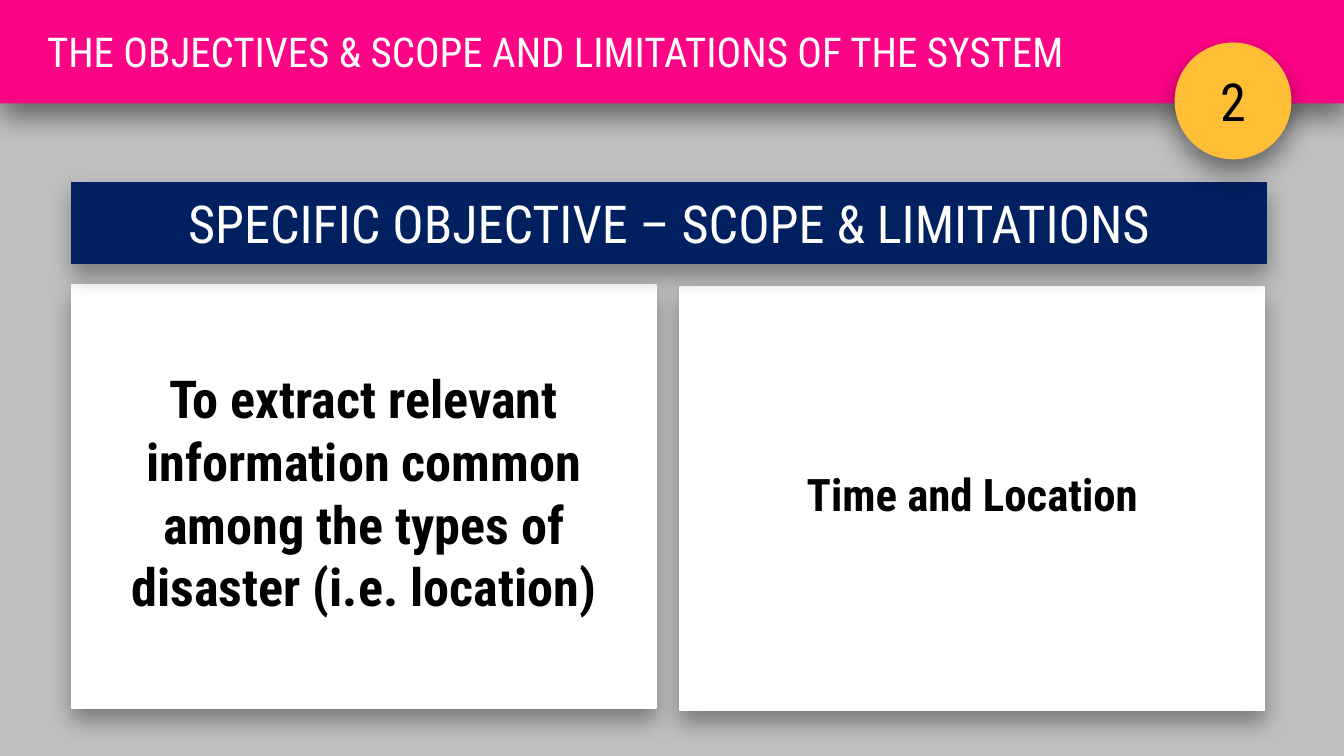
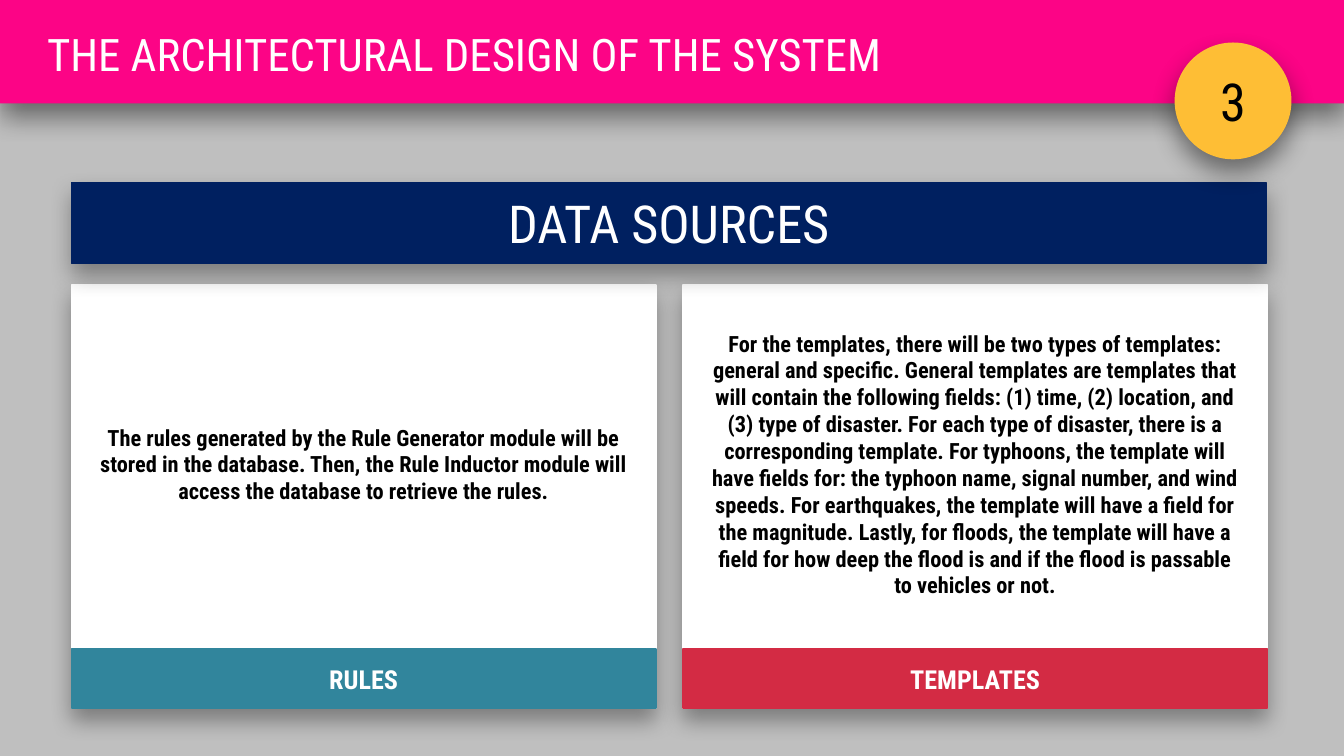
"""Build two project slides with paired cards under a title band and a banner."""
import pptx
import pptx.util
import pptx.dml.color
import pptx.enum.shapes
import pptx.enum.text
import pptx.oxml
from lxml import etree

Pt = pptx.util.Pt
KIND = pptx.enum.shapes.MSO_SHAPE
ALIGN = pptx.enum.text.PP_ALIGN
ANCHOR = pptx.enum.text.MSO_ANCHOR

FONT = "Roboto Condensed"
HEX = {
    "back": "BFBFBF", "band": "FC0486", "disc": "FEBE35", "bar": "002060",
    "card": "FFFFFF", "teal": "31859C", "red": "D32B44",
    "light": "FFFFFF", "dark": "000000",
}

DECK = [
    {
        "title": "THE OBJECTIVES & SCOPE AND LIMITATIONS OF THE SYSTEM",
        "size": 22, "box": (586.8, 33.8), "num": "2",
        "head": "SPECIFIC OBJECTIVE – SCOPE & LIMITATIONS",
        "pad": 4.5, "foot": 12.2,
        "cards": [
            {"at": (38.2, 152.6), "size": 28,
             "text": "To extract relevant information common among the types of "
                     "disaster (i.e. location)"},
            {"at": (364.3, 153.7), "size": 24, "text": "Time and Location"},
        ],
    },
    {
        "title": "THE ARCHITECTURAL DESIGN OF THE SYSTEM",
        "size": 24, "box": (577.4, 36), "num": "3",
        "head": "DATA SOURCES",
        "pad": 6.8, "foot": 42,
        "cards": [
            {"at": (38.2, 152.6), "size": 12, "tag": "RULES", "hue": "teal",
             "text": "The rules generated by the Rule Generator module will be "
                     "stored in the database. Then, the Rule Inductor module will "
                     "access the database to retrieve the rules."},
            {"at": (365.8, 152.6), "size": 12, "tag": "TEMPLATES", "hue": "red",
             "text": "For the templates, there will be two types of templates: "
                     "general and specific. General templates are templates that "
                     "will contain the following fields: (1) time, (2) location, "
                     "and (3) type of disaster. For each type of disaster, there "
                     "is a corresponding template. For typhoons, the template "
                     "will have fields for: the typhoon name, signal number, and "
                     "wind speeds. For earthquakes, the template will have a "
                     "field for the magnitude. Lastly, for floods, the template "
                     "will have a field for how deep the flood is and if the "
                     "flood is passable to vehicles or not."},
        ],
    },
]

WIDE, HIGH = 720, 405
CARD_W, CARD_H, TAG_H, TOP = 313.2, 226.8, 31.7, 7.2
SOFT = (35, 12, 6)
DEEP = (45, 14, 7)


def color(name):
    return pptx.dml.color.RGBColor.from_string(HEX[name])


def write(shape, text, size, hue="dark", bold=False, align=ALIGN.CENTER,
          anchor=ANCHOR.MIDDLE):
    frame = shape.text_frame
    frame.text = text
    frame.word_wrap = True
    frame.auto_size = pptx.enum.text.MSO_AUTO_SIZE.NONE
    frame.vertical_anchor = anchor
    para = frame.paragraphs[0]
    para.alignment = align
    font = para.runs[0].font
    font.name, font.size, font.bold = FONT, Pt(size), bold
    font.color.rgb = color(hue)


def shade(shape, alpha, blur, dist):
    props = shape.fill._xPr
    for old in props.findall(pptx.oxml.ns.qn("a:effectLst")):
        props.remove(old)
    space = pptx.oxml.ns.nsdecls("a")
    props.append(etree.fromstring(
        f'<a:effectLst {space}><a:outerShdw blurRad="{Pt(blur)}" '
        f'dist="{Pt(dist)}" dir="5400000" algn="t" rotWithShape="0">'
        f'<a:srgbClr val="{HEX["dark"]}"><a:alpha val="{alpha * 1000}"/>'
        '</a:srgbClr></a:outerShdw></a:effectLst>',
        pptx.oxml.oxml_parser))


def block(slide, spot, hue, kind=KIND.RECTANGLE, edge=True, shadow=None):
    shape = slide.shapes.add_shape(kind, *map(Pt, spot))
    shape.shadow.inherit = False
    shape.fill.solid()
    shape.fill.fore_color.rgb = color(hue)
    if edge:
        shape.line.color.rgb = color(hue)
        shape.line.width = Pt(0.75)
    else:
        shape.line.fill.background()
    if shadow:
        shade(shape, *shadow)
    return shape


def add_card(slide, card, pad, foot):
    left, top = card["at"]
    block(slide, (left, top, CARD_W, CARD_H), "card", shadow=SOFT)
    if "tag" in card:
        spot = (left, top + CARD_H - TAG_H, CARD_W, TAG_H)
        write(block(slide, spot, card["hue"]), card["tag"], 14, hue="light", bold=True)
    spot = (left + pad, top + TOP, CARD_W - 2 * pad, CARD_H - TOP - foot)
    note = slide.shapes.add_textbox(*map(Pt, spot))
    write(note, card["text"], card["size"], bold=True)


def add_head(slide, page):
    bar = block(slide, (38.2, 97.9, 640.1, 43.2), "bar", shadow=SOFT)
    write(bar, page["head"], 28, hue="light")
    block(slide, (0, 0, WIDE, 55.4), "band", edge=False, shadow=DEEP)
    title = slide.shapes.title
    title.left, title.top = Pt(18), Pt(10.8)
    title.width, title.height = map(Pt, page["box"])
    write(title, page["title"], page["size"], hue="light", align=ALIGN.LEFT,
          anchor=ANCHOR.TOP)
    slide.shapes._spTree.append(title._element)
    disc = block(slide, (629.3, 22.8, 62.6, 62.6), "disc", kind=KIND.OVAL,
                 edge=False, shadow=DEEP)
    write(disc, page["num"], 28)


def main():
    deck = pptx.Presentation()
    deck.slide_width, deck.slide_height = Pt(WIDE), Pt(HIGH)
    back = deck.slide_master.background.fill
    back.solid()
    back.fore_color.rgb = color("back")
    for page in DECK:
        slide = deck.slides.add_slide(deck.slide_layouts[5])
        for card in page["cards"]:
            add_card(slide, card, page["pad"], page["foot"])
        add_head(slide, page)
    deck.save("out.pptx")


if __name__ == "__main__":
    main()
